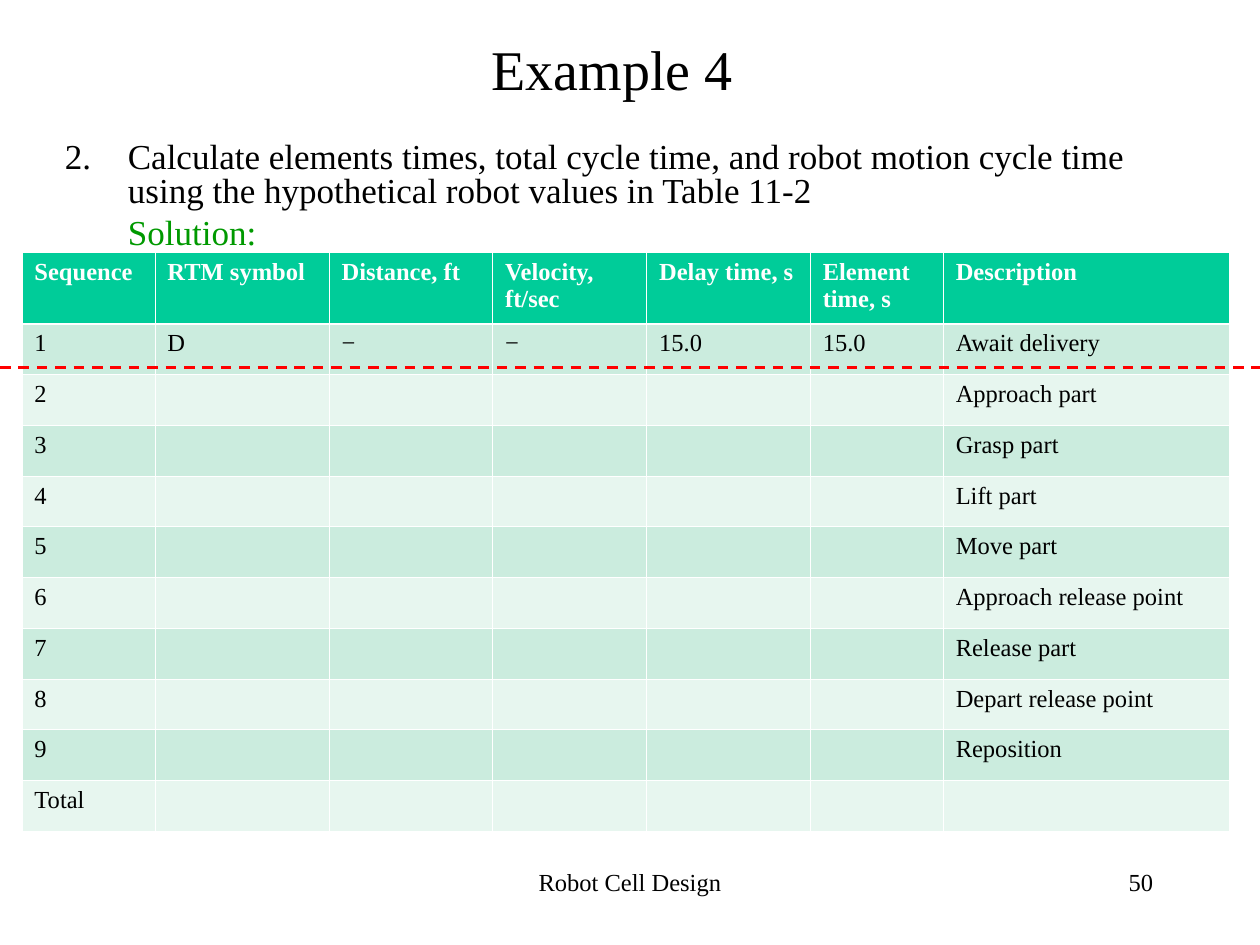
from dataclasses import dataclass

from pptx import Presentation
from pptx.dml.color import RGBColor
from pptx.enum.dml import MSO_LINE
from pptx.enum.shapes import MSO_CONNECTOR
from pptx.enum.text import MSO_ANCHOR, PP_ALIGN
from pptx.oxml.ns import qn
from pptx.util import Pt
from lxml.etree import SubElement


@dataclass(frozen=True)
class Theme:
    font: str = "Times New Roman"
    title_size: float = 32
    body_size: float = 20
    small_size: float = 14
    text: str = "000000"
    solution: str = "009900"
    white: str = "FFFFFF"
    header: str = "00CC99"
    bands: tuple = ("CBECDE", "E7F6EF")
    divider: str = "FF0000"


THEME = Theme()

HEADERS = ["Sequence", "RTM symbol", "Distance, ft", "Velocity, ft/sec",
           "Delay time, s", "Element time, s", "Description"]
COLUMN_WIDTHS = [76, 99.5, 93.5, 88, 93.5, 76, 163.5]
STEPS = ["Approach part", "Grasp part", "Lift part", "Move part",
         "Approach release point", "Release part", "Depart release point",
         "Reposition"]
HEADER_HEIGHT, ROW_HEIGHT = 41, 29
THIN, THICK = 0.45, 1.47


def add_run(p, text, size, color=THEME.text, bold=False):
    r = p.add_run()
    r.text = text
    r.font.name = THEME.font
    r.font.size = Pt(size)
    r.font.bold = bold
    r.font.color.rgb = RGBColor.from_string(color)


def add_text_box(s, left, top, width, height, anchor=MSO_ANCHOR.TOP):
    sp = s.shapes.add_textbox(Pt(left), Pt(top), Pt(width), Pt(height))
    tf = sp.text_frame
    tf.word_wrap = True
    tf.vertical_anchor = anchor
    return tf


def add_label(s, box, text, size, align, anchor=MSO_ANCHOR.TOP):
    p = add_text_box(s, *box, anchor).paragraphs[0]
    p.alignment = align
    add_run(p, text, size)


def set_indent(p, left, first=0, number=None):
    pPr = p._p.get_or_add_pPr()
    pPr.set("marL", str(Pt(left)))
    pPr.set("indent", str(Pt(first)))
    if number:
        SubElement(pPr, qn("a:buFont"), typeface=THEME.font)
        SubElement(pPr, qn("a:buAutoNum"), type="arabicPeriod",
                   startAt=str(number))


def add_question(s):
    tf = add_text_box(s, 30, 78, 666, 72)
    p = tf.paragraphs[0]
    p.line_spacing = 0.8
    set_indent(p, 36, -36, number=2)
    add_run(p, "Calculate elements times, total cycle time, and robot motion "
               "cycle time using the hypothetical robot values in Table 11-2",
            THEME.body_size)

    p = tf.add_paragraph()
    p.line_spacing = 0.8
    p.space_before = Pt(5)
    set_indent(p, 36)
    add_run(p, "Solution:", THEME.body_size, THEME.solution)


def set_borders(cell, top, bottom):
    tcPr = cell._tc.get_or_add_tcPr()
    for side, width in (("L", THIN), ("R", THIN), ("T", top), ("B", bottom)):
        ln = SubElement(tcPr, qn(f"a:ln{side}"), w=str(Pt(width)))
        fill = SubElement(ln, qn("a:solidFill"))
        SubElement(fill, qn("a:srgbClr"), val=THEME.white)


def fill_cell(cell, row, text):
    is_header = row == 0
    # Borders come before the fill in the cell properties
    set_borders(cell, THICK if row == 1 else THIN,
                THICK if is_header else THIN)
    fill = THEME.header if is_header else THEME.bands[(row - 1) % 2]
    cell.fill.solid()
    cell.fill.fore_color.rgb = RGBColor.from_string(fill)
    if text:
        add_run(cell.text_frame.paragraphs[0], text, THEME.small_size,
                THEME.white if is_header else THEME.text, is_header)


def add_cycle_table(s):
    blanks = [""] * 5
    rows = [HEADERS, ["1", "D", "−", "−", "15.0", "15.0", "Await delivery"]]
    rows += [[str(n), *blanks, step] for n, step in enumerate(STEPS, 2)]
    rows.append(["Total", *blanks, ""])

    height = HEADER_HEIGHT + ROW_HEIGHT * (len(rows) - 1)
    table = s.shapes.add_table(len(rows), len(HEADERS), Pt(12.5), Pt(144),
                               Pt(sum(COLUMN_WIDTHS)), Pt(height)).table
    for column, width in zip(table.columns, COLUMN_WIDTHS):
        column.width = Pt(width)
    for i, values in enumerate(rows):
        table.rows[i].height = Pt(ROW_HEIGHT if i else HEADER_HEIGHT)
        for j, text in enumerate(values):
            fill_cell(table.cell(i, j), i, text)


def add_divider(s, y, width):
    line = s.shapes.add_connector(MSO_CONNECTOR.STRAIGHT,
                                  Pt(0), Pt(y), Pt(width), Pt(y))
    line.line.color.rgb = RGBColor.from_string(THEME.divider)
    line.line.width = Pt(1.5)
    line.line.dash_style = MSO_LINE.DASH
    SubElement(line._element.spPr, qn("a:effectLst"))


def main():
    prs = Presentation()
    prs.slide_width, prs.slide_height = Pt(720), Pt(540)
    s = prs.slides.add_slide(prs.slide_layouts[6])

    # Title and question
    add_label(s, (48, 12, 612, 54), "Example 4 ", THEME.title_size,
              PP_ALIGN.CENTER, MSO_ANCHOR.MIDDLE)
    add_question(s)

    # Footer and slide number
    add_label(s, (246, 492, 228, 36), "Robot Cell Design", THEME.small_size,
              PP_ALIGN.CENTER)
    add_label(s, (516, 492, 150, 36), "50", THEME.small_size, PP_ALIGN.RIGHT)

    # Cycle table, with the divider under the first step
    add_cycle_table(s)
    add_divider(s, 210, 732)

    prs.save("out.pptx")


if __name__ == "__main__":
    main()
